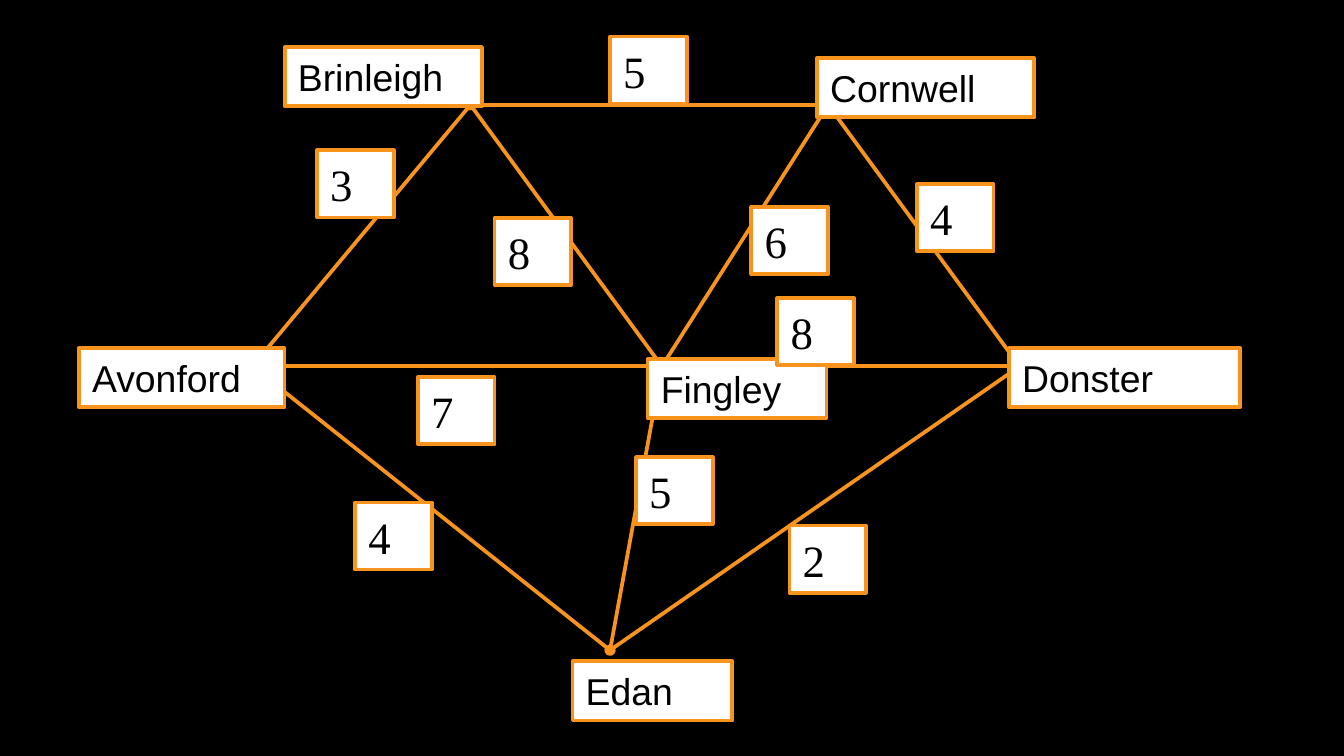
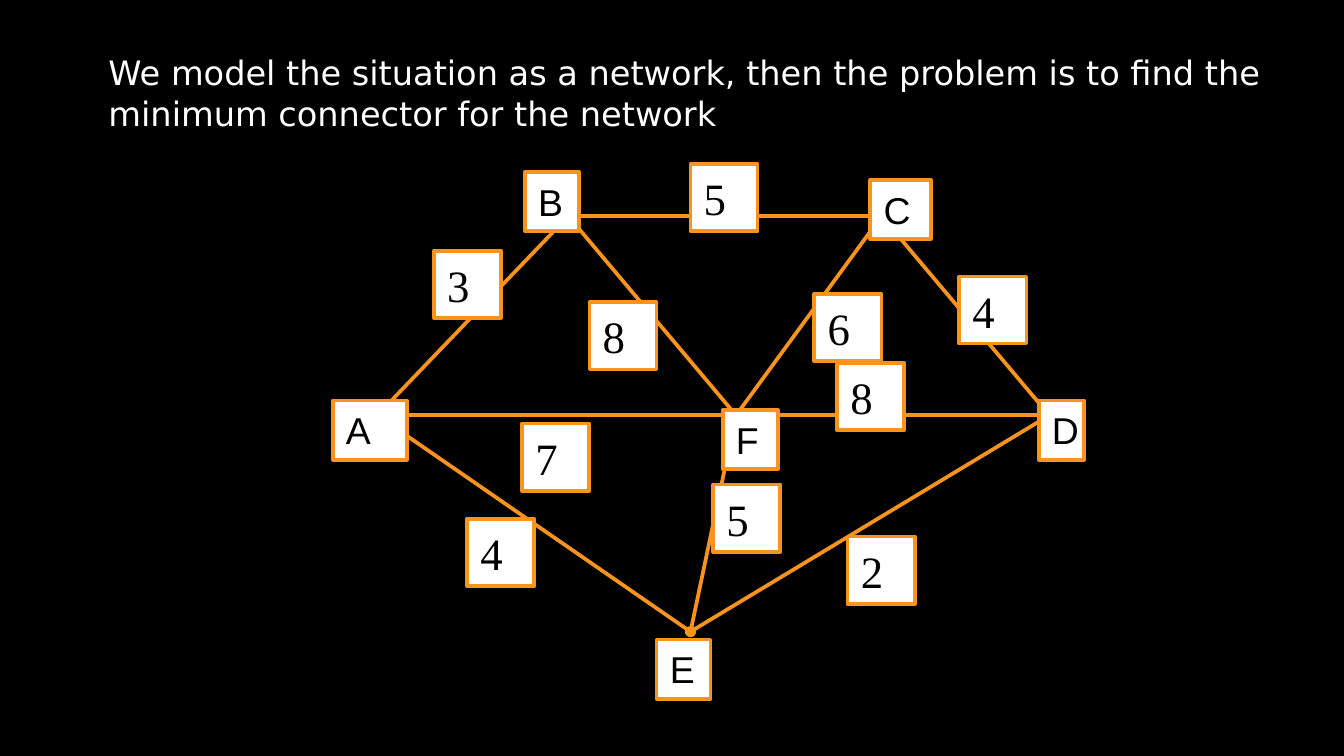
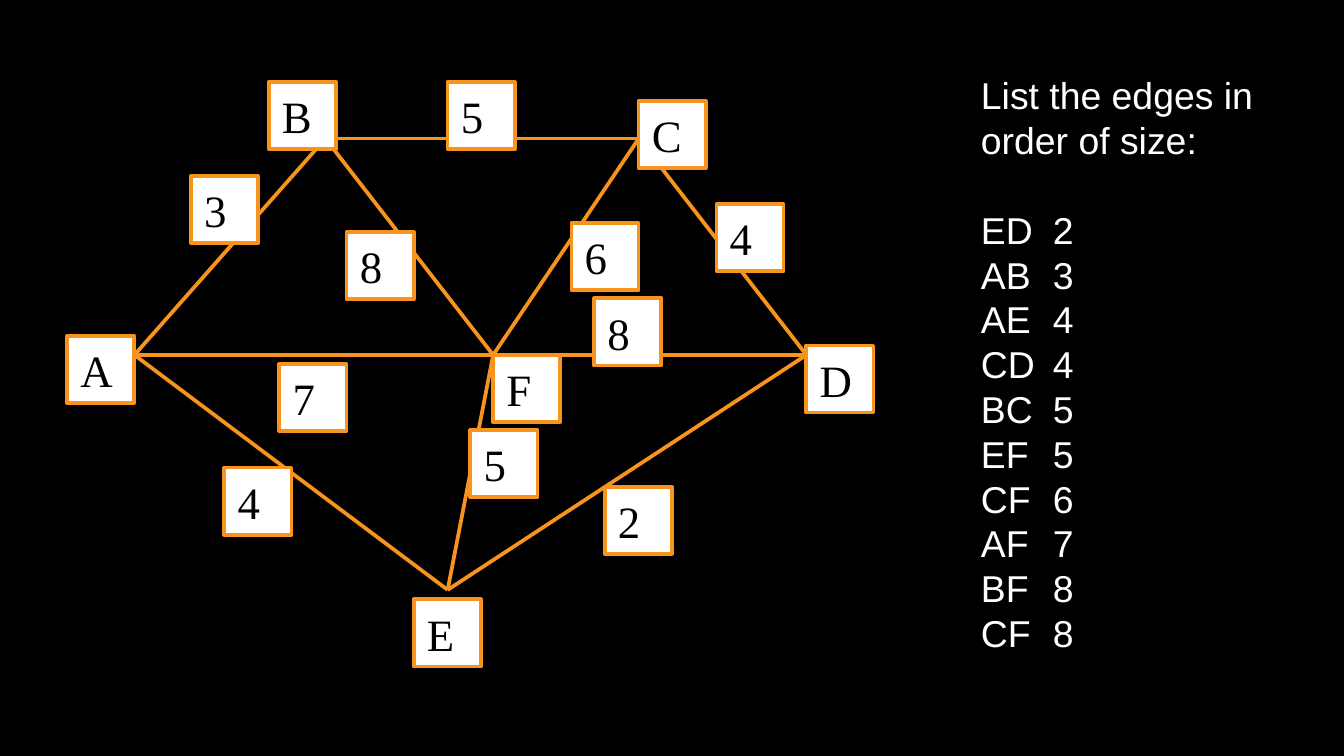
import pptx
import pptx.util
import pptx.dml.color
import pptx.enum.shapes
import pptx.enum.text
import pptx.oxml.ns
import lxml.etree

Cm, Pt = pptx.util.Cm, pptx.util.Pt

# Shared look
BLACK, WHITE, AMBER = "000000", "FFFFFF", "F8931D"
SANS, SERIF, HEAD = "Arial", "Times New Roman", "DejaVu Sans"

# Base network, in cm, scaled to the box of each slide
BASE_W, BASE_H = 15.24, 9.6
CELL = 1.27
NODES = {
    "A": (1.27, 5.16), "B": (4.88, 1.07), "C": (10.8, 1.07),
    "D": (13.97, 5.16), "E": (7.19, 9.6), "F": (8.05, 5.16),
}
# Edge, and which ends carry a dot
EDGES = [
    ("AB", ("head", "tail")), ("BC", ("tail",)), ("CD", ("tail",)),
    ("AF", ()), ("FD", ()), ("BF", ("tail",)), ("FC", ()), ("AE", ()),
    ("EF", ("head", "tail")), ("ED", ("tail",)),
]
# Weight, left, top
COSTS = [
    ("2", 10.16, 7.65), ("7", 4.01, 5.33), ("4", 2.97, 7.29),
    ("5", 7.62, 6.58), ("8", 5.28, 2.84), ("6", 9.53, 2.67),
    ("4", 12.27, 2.31), ("5", 7.19, 0), ("3", 2.34, 1.78),
    ("8", 9.96, 4.09),
]

# Node labels: text, left, top, width, measured from the network box
TOWNS = [
    ("Avonford", -1.83, 5.89, 3.89), ("Fingley", 8.92, 6.1, 3.38),
    ("Brinleigh", 2.06, 0.2, 3.73), ("Cornwell", 12.12, 0.41, 4.11),
    ("Donster", 15.75, 5.89, 4.37), ("Edan", 7.5, 11.81, 3.02),
]
SHORT = [
    ("A", 0.43, 4.47, 1.4), ("F", 7.8, 4.65, 1.04), ("B", 4.06, 0.15, 1.02),
    ("C", 10.59, 0.3, 1.14), ("D", 13.77, 4.47, 0.86), ("E", 6.55, 8.99, 1.02),
]
EQUAL = [
    ("A", 0, 4.8, CELL), ("F", 8.05, 5.16, CELL), ("B", 3.81, 0, CELL),
    ("C", 10.8, 0.36, CELL), ("D", 13.97, 4.98, CELL), ("E", 6.55, 9.78, CELL),
]
RANKS = [
    ("ED", 2), ("AB", 3), ("AE", 4), ("CD", 4), ("BC", 5),
    ("EF", 5), ("CF", 6), ("AF", 7), ("BF", 8), ("CF", 8),
]


def paint(part, tint):
    """Give a fill a solid colour."""
    part.solid()
    part.fore_color.rgb = pptx.dml.color.RGBColor.from_string(tint)


def stroke(line):
    paint(line.fill, AMBER)
    line.width = Pt(2)


def tag(parent, name, **attrs):
    return lxml.etree.SubElement(parent, pptx.oxml.ns.qn("a:" + name), attrs)


def write(para, text, face, size, tint):
    para.alignment = pptx.enum.text.PP_ALIGN.LEFT
    run = para.add_run()
    run.text = text
    run.font.name = face
    run.font.size = Pt(size)
    paint(run.font.fill, tint)


def frame(shape, pad=0.13):
    """Set wrapping, top anchor and insets; return the text frame."""
    text = shape.text_frame
    text.word_wrap = True
    text.vertical_anchor = pptx.enum.text.MSO_ANCHOR.TOP
    text.margin_left = text.margin_right = Cm(0.25)
    text.margin_top = text.margin_bottom = Cm(pad)
    return text


def label(slide, text, box, face, size):
    """White box with an amber edge."""
    rect = slide.shapes.add_shape(
        pptx.enum.shapes.MSO_SHAPE.RECTANGLE, *map(Cm, box))
    rect.shadow.inherit = False
    paint(rect.fill, WHITE)
    stroke(rect.line)
    write(frame(rect).paragraphs[0], text, face, size, BLACK)


def edge(slide, start, end, dots):
    link = slide.shapes.add_connector(
        pptx.enum.shapes.MSO_CONNECTOR.STRAIGHT, *map(Cm, start + end))
    stroke(link.line)
    ends = link.line.fill and link._element.spPr.find(pptx.oxml.ns.qn("a:ln"))
    for dot in dots:
        tag(ends, dot + "End", type="oval")
    tag(link._element.spPr, "effectLst")


def network(slide, box, names, tall=1.12, face=SANS, size=20, dotted=True):
    """Edges, node labels and weights, scaled into the box."""
    left, top, width, height = box
    wide, high = width / BASE_W, height / BASE_H

    def place(x, y):
        return left + x * wide, top + y * high

    for (start, end), dots in EDGES:
        edge(slide, place(*NODES[start]), place(*NODES[end]),
             dots if dotted else ())
    for text, x, y, span in names:
        label(slide, text, (left + x, top + y, span, tall), face, size)
    for text, x, y in COSTS:
        label(slide, text, (*place(x, y), CELL * wide, CELL), SERIF, 24)


def heading(slide, text, box):
    title = slide.shapes.title
    title.left, title.top, title.width, title.height = map(Cm, box)
    para = frame(title, 0.25).paragraphs[0]
    para.line_spacing = Pt(22)
    write(para, text, HEAD, 18, WHITE)


def ranking(slide, box):
    """Edges listed by weight, set in two columns by a tab stop."""
    text = frame(slide.shapes.add_textbox(*map(Cm, box)))
    para = text.paragraphs[0]
    para.line_spacing = Pt(24)
    write(para, "List the edges in order of size:", SANS, 20, WHITE)
    for rank, (name, cost) in enumerate(RANKS):
        para = text.add_paragraph()
        para.line_spacing = Pt(24)
        if rank == 0:
            para.space_before = Pt(24)
        stops = tag(para._p.get_or_add_pPr(), "tabLst")
        tag(stops, "tab", pos=str(Cm(1.36)), algn="l")
        write(para, f"{name}\t{cost}", SANS, 20, WHITE)


def main():
    deck = pptx.Presentation()
    deck.slide_width, deck.slide_height = Cm(25.4), Cm(14.29)
    paint(deck.slide_master.background.fill, BLACK)
    titled, blank = deck.slide_layouts[5], deck.slide_layouts[6]

    # Towns and roads
    slide = deck.slides.add_slide(blank)
    network(slide, (3.32, 0.69, 17.4, 11.6), TOWNS)

    # Model as a network
    slide = deck.slides.add_slide(titled)
    heading(slide, "We model the situation as a network, then the problem is "
            "to find the minimum connector for the network",
            (1.8, 0.71, 22.43, 2.08))
    network(slide, (5.86, 3.1, BASE_W, 8.84), SHORT)

    # Edges in order
    slide = deck.slides.add_slide(blank)
    network(slide, (1.27, 1.55, BASE_W, BASE_H), EQUAL,
            tall=CELL, face=SERIF, size=24, dotted=False)
    ranking(slide, (18.29, 1.24, 6.12, 12.22))

    deck.save("out.pptx")


if __name__ == "__main__":
    main()
